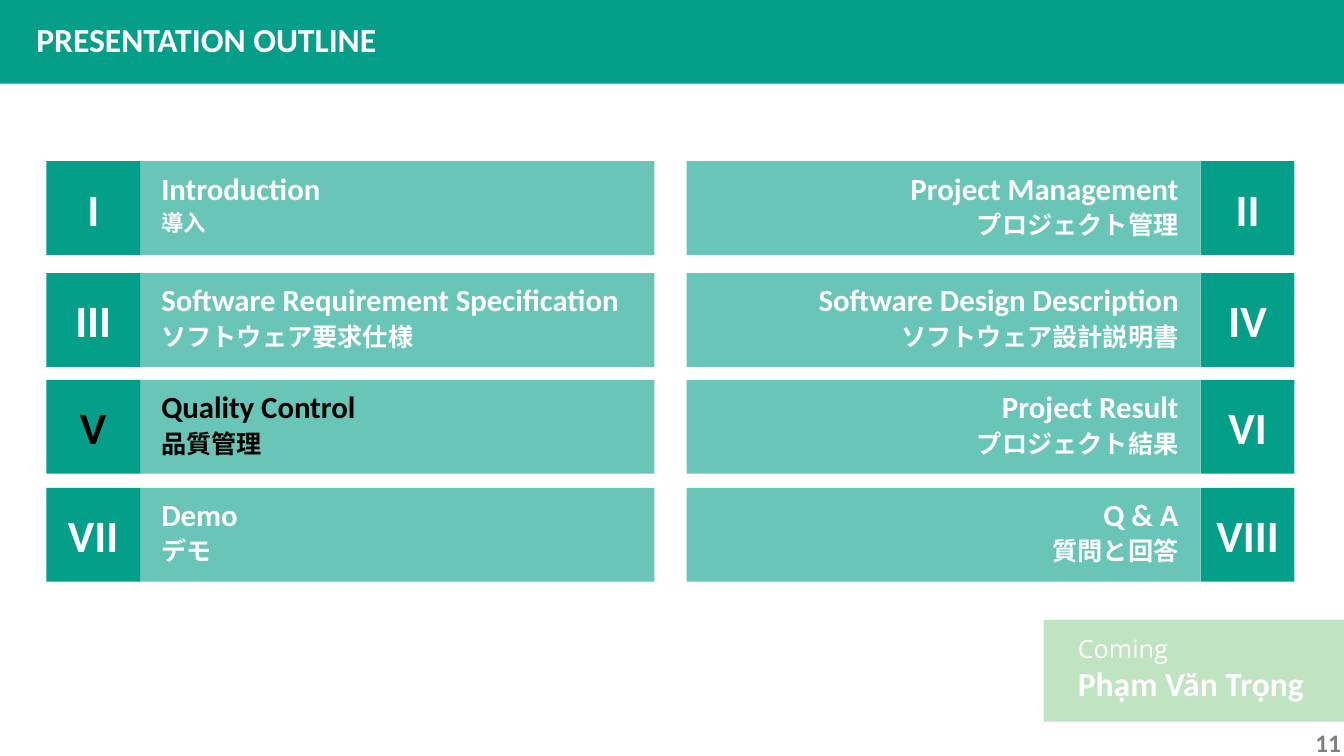
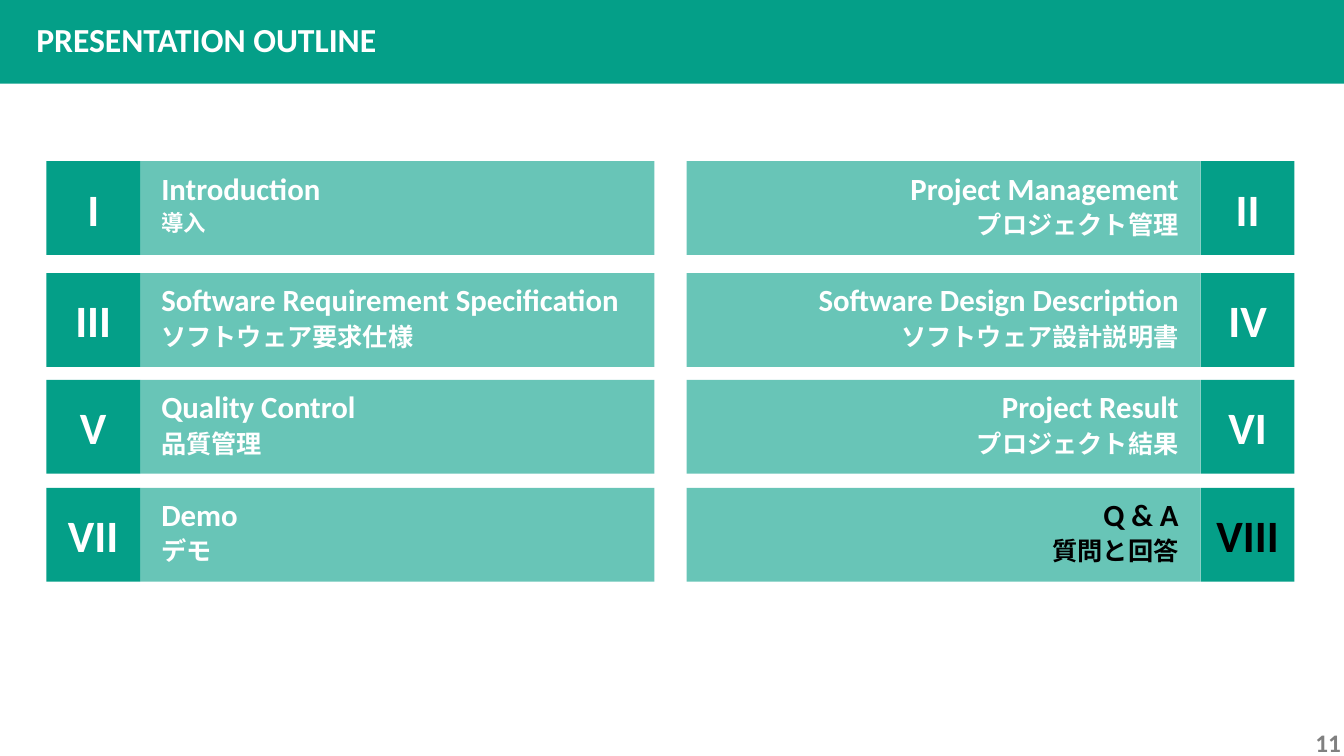
from dataclasses import dataclass

from lxml.etree import SubElement
from pptx import Presentation
from pptx.dml.color import RGBColor
from pptx.enum.shapes import MSO_SHAPE
from pptx.enum.text import MSO_ANCHOR, MSO_AUTO_SIZE, PP_ALIGN
from pptx.oxml.ns import qn
from pptx.util import Inches, Pt


@dataclass(frozen=True)
class Theme:
    teal: str = "049F88"
    green: str = "4CAF50"
    white: str = "FFFFFF"
    black: str = "000000"
    grey: str = "808080"
    latin_font: str = "Calibri"
    japanese_font: str = "Times New Roman"
    badge_font: str = "Open Sans"
    numeral_size: int = 32
    heading_size: int = 24
    topic_size: int = 22
    small_size: int = 18
    compact_size: int = 16


THEME = Theme()
SLIDE_WIDTH, SLIDE_HEIGHT = 13.33, 7.5

# Outline grid: numbered tiles on the outer edges, bars towards the middle
TILE_SIZE = 0.93
BAR_WIDTH = 5.1
LEFT_TILE, LEFT_BAR = 0.46, 1.39
RIGHT_BAR, RIGHT_TILE = 6.81, 11.91
ROW_TOPS = (1.6, 2.71, 3.77, 4.84)

TOPICS = (
    ("I", "Introduction", "導入"),
    ("II", "Project Management", "プロジェクト管理"),
    ("III", "Software Requirement Specification", "ソフトウェア要求仕様"),
    ("IV", "Software Design Description", "ソフトウェア設計説明書"),
    ("V", "Quality Control", "品質管理"),
    ("VI", "Project Result", "プロジェクト結果"),
    ("VII", "Demo", "デモ"),
    ("VIII", "Q & A", "質問と回答"),
)


def write_text(frame, text, size, color=THEME.white, font=THEME.latin_font,
               bold=True, align=PP_ALIGN.LEFT, space_before=0):
    """Fill the first paragraph of the frame, or add one after it."""
    paragraph = frame.paragraphs[0]
    if paragraph.runs:
        paragraph = frame.add_paragraph()
        paragraph.space_before = Pt(space_before)
    paragraph.alignment = align
    run = paragraph.add_run()
    run.text = text
    run.font.size = Pt(size)
    run.font.name = font
    run.font.bold = bold
    run.font.color.rgb = RGBColor.from_string(color)


def set_frame(frame, left=0.1, top=0.05, right=0.1, bottom=0.05,
              anchor=MSO_ANCHOR.TOP):
    frame.word_wrap = True
    frame.auto_size = MSO_AUTO_SIZE.NONE
    frame.vertical_anchor = anchor
    frame.margin_left, frame.margin_right = Inches(left), Inches(right)
    frame.margin_top, frame.margin_bottom = Inches(top), Inches(bottom)


def add_panel(slide, left, top, width, height, color, opacity=100):
    panel = slide.shapes.add_shape(MSO_SHAPE.RECTANGLE, Inches(left), Inches(top),
                                   Inches(width), Inches(height))
    panel.shadow.inherit = False
    panel.line.fill.background()
    panel.fill.solid()
    panel.fill.fore_color.rgb = RGBColor.from_string(color)
    if opacity < 100:
        rgb = panel.element.spPr.find(qn("a:solidFill")).find(qn("a:srgbClr"))
        SubElement(rgb, qn("a:alpha"), val=str(opacity * 1000))
    return panel


def add_header(slide, heading):
    band = add_panel(slide, 0, 0, SLIDE_WIDTH, 0.83, THEME.teal)
    title = slide.shapes.title
    title.element.addprevious(band.element)  # keep the band behind the title
    title.left, title.top = Inches(0.26), Inches(0.14)
    title.width, title.height = Inches(4), Inches(0.5)
    set_frame(title.text_frame)
    write_text(title.text_frame, heading, THEME.heading_size)


def add_page_number(slide, number):
    label = slide.shapes.add_textbox(Inches(12.73), Inches(7.22),
                                     Inches(0.6), Inches(0.28))
    set_frame(label.text_frame, left=0, top=0, right=0.03, bottom=0)
    write_text(label.text_frame, number, THEME.small_size, color=THEME.grey,
               align=PP_ALIGN.RIGHT)


def add_topic(slide, index, color):
    numeral, english, japanese = TOPICS[index]
    row, on_right = divmod(index, 2)
    top = ROW_TOPS[row]

    # Numbered tile
    tile = add_panel(slide, RIGHT_TILE if on_right else LEFT_TILE, top,
                     TILE_SIZE, TILE_SIZE, THEME.teal)
    set_frame(tile.text_frame, left=0, right=0, anchor=MSO_ANCHOR.MIDDLE)
    write_text(tile.text_frame, numeral, THEME.numeral_size, color=color,
               align=PP_ALIGN.CENTER)

    # Bar with the topic in both languages
    bar = add_panel(slide, RIGHT_BAR if on_right else LEFT_BAR, top,
                    BAR_WIDTH, TILE_SIZE, THEME.teal, opacity=60)
    set_frame(bar.text_frame, left=0.21, top=0.08, right=0.22)
    align = PP_ALIGN.RIGHT if on_right else PP_ALIGN.LEFT
    write_text(bar.text_frame, english, THEME.topic_size, color=color, align=align)
    write_text(bar.text_frame, japanese,
               THEME.compact_size if index == 0 else THEME.small_size,
               color=color, font=THEME.japanese_font, align=align, space_before=2)


def add_speaker_badge(slide, speaker):
    badge = add_panel(slide, 10.35, 6.15, 2.98, 1.01, THEME.green, opacity=35)
    set_frame(badge.text_frame, left=0.34, top=0.13)
    write_text(badge.text_frame, "Coming", THEME.small_size,
               font=THEME.badge_font, bold=False)
    write_text(badge.text_frame, speaker, THEME.heading_size)


def add_outline_slide(deck, current, speaker=None):
    slide = deck.slides.add_slide(deck.slide_layouts[5])
    add_header(slide, "PRESENTATION OUTLINE")
    for index, (numeral, _, _) in enumerate(TOPICS):
        add_topic(slide, index, THEME.black if numeral == current else THEME.white)
    add_page_number(slide, "11")
    if speaker:
        add_speaker_badge(slide, speaker)


def main():
    deck = Presentation()
    deck.slide_width, deck.slide_height = Inches(SLIDE_WIDTH), Inches(SLIDE_HEIGHT)
    add_outline_slide(deck, current="V", speaker="Phạm Văn Trọng")
    add_outline_slide(deck, current="VIII")
    deck.save("out.pptx")


if __name__ == "__main__":
    main()
